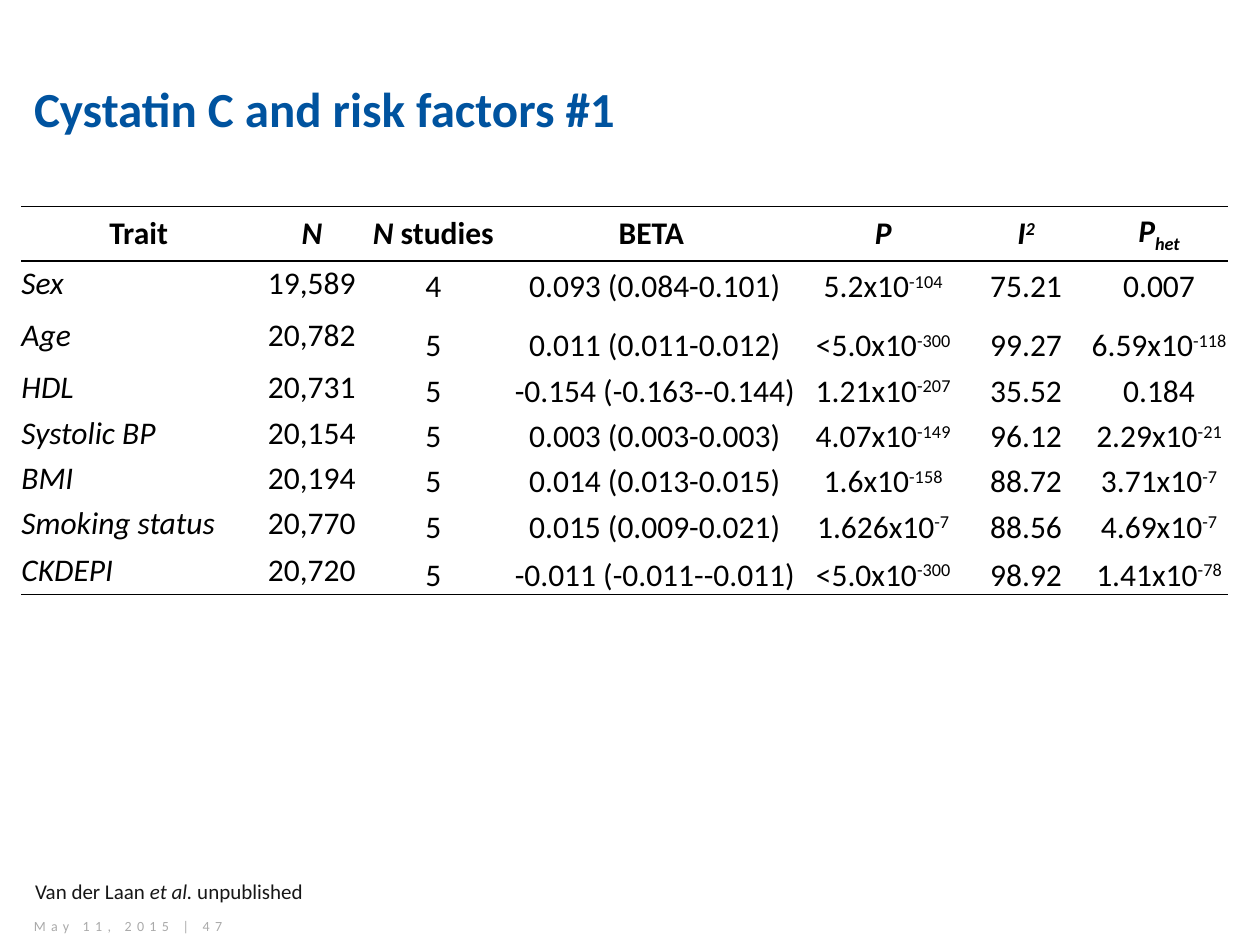
from pptx import Presentation
from pptx.dml.color import RGBColor as RGB
from pptx.enum.text import MSO_ANCHOR as Anchor, MSO_AUTO_SIZE as Auto, PP_ALIGN as Align
from pptx.oxml import parse_xml
from pptx.oxml.ns import nsdecls
from pptx.util import Inches, Pt

COLORS = {"title": "00539F", "text": "000000", "note": "171717",
          "foot": "AAAAAA", "back": "FFFFFF"}
BASES = {"^": "30000", "_": "-25000"}
COLS = [1.86, 0.89, 1.04, 2.42, 1.26, 1.01, 1.1]
ROWS = [0.43, 0.36, 0.47, 0.36, 0.36, 0.36, 0.36, 0.38]
HEADS = [
    [("Trait", "")],
    [("N", "i")],
    [("N", "i"), (" studies", "")],
    [("BETA", "")],
    [("P", "i")],
    [("I", "i"), ("2", "i^")],
    [("P", "i"), ("het", "i_")],
]
DATA = [
    ["Sex", "19,589", "4", " 0.093 (0.084-0.101)", "5.2x10^-104", "75.21", "0.007"],
    ["Age", "20,782", "5", " 0.011 (0.011-0.012)", "<5.0x10^-300", "99.27", "6.59x10^-118"],
    ["HDL", "20,731", "5", " -0.154 (-0.163--0.144)", "1.21x10^-207", "35.52", "0.184"],
    ["Systolic BP", "20,154", "5", " 0.003 (0.003-0.003)", "4.07x10^-149", "96.12", "2.29x10^-21"],
    ["BMI", "20,194", "5", " 0.014 (0.013-0.015)", "1.6x10^-158", "88.72", "3.71x10^-7"],
    ["Smoking status", "20,770", "5", " 0.015 (0.009-0.021)", "1.626x10^-7", "88.56", "4.69x10^-7"],
    ["CKDEPI", "20,720", "5", " -0.011 (-0.011--0.011)", "<5.0x10^-300", "98.92", "1.41x10^-78"],
]


class Deck:
    """Holds the style and the current slide."""

    def __init__(self, font="Calibri"):
        self.font = font
        self.prs = Presentation()
        self.prs.slide_width, self.prs.slide_height = Inches(10), Inches(7.5)
        self.slide = self.prs.slides.add_slide(self.prs.slide_layouts[5])

    def fill_in(self, para, parts, size, color, bold=False):
        for text, mark in parts:
            run = para.add_run()
            run.text = text
            font = run.font
            font.name, font.size = self.font, Pt(size)
            font.bold, font.italic = bold, "i" in mark
            font.color.rgb = RGB.from_string(COLORS[color])
            for sign, base in BASES.items():
                if sign in mark:
                    run._r.get_or_add_rPr().set("baseline", base)

    def title(self, text, *box):
        shape = self.slide.shapes.title
        shape.left, shape.top, shape.width, shape.height = map(Inches, box)
        shape.text_frame.vertical_anchor = Anchor.MIDDLE
        para = shape.text_frame.paragraphs[0]
        para.alignment = Align.LEFT
        self.fill_in(para, [(text, "")], 28, "title", True)

    def label(self, parts, box, size, color, gap=0, grow=False):
        frame = self.slide.shapes.add_textbox(*map(Inches, box)).text_frame
        frame.word_wrap = not grow
        if grow:
            frame.auto_size = Auto.SHAPE_TO_FIT_TEXT
        else:
            frame.vertical_anchor = Anchor.MIDDLE
        para = frame.paragraphs[0]
        self.fill_in(para, parts, size, color)
        if gap:
            for run in para.runs:
                run._r.get_or_add_rPr().set("spc", str(gap * 100))

    def rule(self, cell, side, width):
        fill = "<a:noFill/>"
        if width:
            fill = f'<a:solidFill><a:srgbClr val="{COLORS["text"]}"/></a:solidFill>'
        cell._tc.get_or_add_tcPr().append(parse_xml(
            f'<a:ln{side} {nsdecls("a")} w="{Pt(width)}">{fill}</a:ln{side}>'))

    def cell(self, cell, parts, align, anchor, top, base, bold):
        cell.margin_left = cell.margin_right = 0
        cell.margin_top = cell.margin_bottom = 0
        cell.vertical_anchor = anchor
        for side, width in (("L", 0), ("R", 0), ("T", top), ("B", base)):
            self.rule(cell, side, width)
        cell.fill.solid()
        cell.fill.fore_color.rgb = RGB.from_string(COLORS["back"])
        para = cell.text_frame.paragraphs[0]
        para.alignment = align
        self.fill_in(para, parts, 18, "text", bold)

    def table(self, left, top):
        size = Inches(sum(COLS)), Inches(sum(ROWS))
        grid = self.slide.shapes.add_table(
            len(ROWS), len(COLS), Inches(left), Inches(top), *size).table
        grid.first_row = grid.horz_banding = False
        for col, width in zip(grid.columns, COLS):
            col.width = Inches(width)
        for row, height in zip(grid.rows, ROWS):
            row.height = Inches(height)
        for c, parts in enumerate(HEADS):
            self.cell(grid.cell(0, c), parts, Align.CENTER, Anchor.MIDDLE, 0.5, 1, True)
        for r, row in enumerate(DATA, 1):
            for c, text in enumerate(row):
                main, _, power = text.partition("^")
                parts = [(main, "" if c else "i")]
                if power:
                    parts.append((power, "^"))
                self.cell(grid.cell(r, c), parts,
                          Align.CENTER if c else Align.JUSTIFY,
                          Anchor.MIDDLE if c < 2 else Anchor.BOTTOM,
                          int(r == 1), int(r == len(DATA)), False)


def main():
    deck = Deck()
    deck.label([("May 11, 2015 | 47", "")], (0.17, 7.25, 2.56, 0.2), 8, "foot", gap=3)
    deck.title("Cystatin C and risk factors #1", 0.17, 0.38, 8.83, 0.95)
    deck.table(0.17, 1.64)
    deck.label([("Van der Laan ", ""), ("et al.", "i"), (" unpublished", "")],
               (0.18, 6.92, 2.36, 0.3), 12, "note", grow=True)
    deck.prs.save("out.pptx")


if __name__ == "__main__":
    main()
